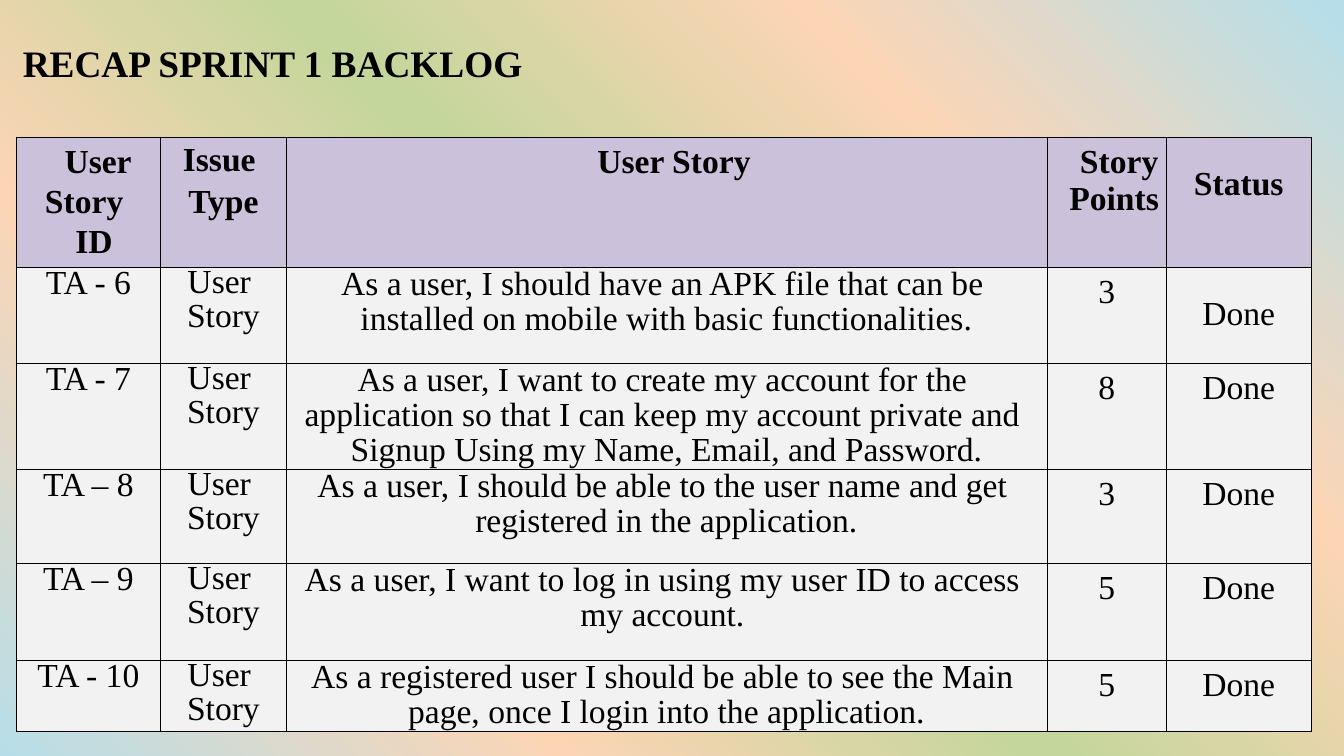
from pptx import Presentation
from pptx.dml.color import RGBColor
from pptx.enum.text import MSO_ANCHOR, PP_ALIGN
from pptx.oxml.ns import qn
from pptx.util import Inches, Pt
from lxml.etree import SubElement

WIDE, HIGH = Inches(20), Inches(11.25)
FONT = "Times New Roman"
BLACK = RGBColor(0x00, 0x00, 0x00)
LILAC = RGBColor(0xCC, 0xC1, 0xDA)
PALE = RGBColor(0xF2, 0xF2, 0xF2)
BLUE = RGBColor(0xB7, 0xDE, 0xE8)
PEACH = RGBColor(0xFC, 0xD5, 0xB5)
GREEN = RGBColor(0xC3, 0xD6, 0x9B)
STOPS = [(1, BLUE), (26, PEACH), (50, GREEN), (73, PEACH), (100, BLUE)]

TITLE_BOX = (1.2, 4.89, 39.4, 6.84)
TABLE_BOX = (1.2, 18.13, 96.35, 78.58)
COLS = [2.15, 1.87, 11.32, 1.78, 2.15]
ROWS = [1.93, 1.43, 1.58, 1.4, 1.44, 1.06]

TALL = Pt(46.8)
LOW = Pt(70.2)
HEADS = [
    [("User", 0.29, TALL), ("Story ", 0, 1.07), ("ID", 0.17, 1.07)],
    [("Issue ", 0, Pt(45)), ("Type", 0, Pt(45))],
    [("User Story", 0.22, TALL)],
    [("Story", 0.37, TALL), ("Points", 0.22, 1.0)],
    [("Status", 0, LOW)],
]
TASKS = [
    ("TA - 6", ["As a user, I should have an APK file that can be ",
                "installed on mobile with basic functionalities."], "3", LOW),
    ("TA - 7", ["As a user, I want to create my account for the ",
                "application so that I can keep my account private and ",
                "Signup Using my Name, Email, and Password."], "8", TALL),
    ("TA – 8", ["As a user, I should be able to the user name and get ",
                "registered in the application."], "3", TALL),
    ("TA – 9", ["As a user, I want to log in using my user ID to access ",
                "my account. "], "5", TALL),
    ("TA - 10", ["As a registered user I should be able to see the Main ",
                 "page, once I login into the application."], "5", TALL),
]


def place(box):
    """Turn percent shares of the slide into lengths."""
    return [int(part * side / 100) for part, side in zip(box, (WIDE, HIGH) * 2)]


def style(para, size, bold):
    """Format every run of a paragraph."""
    for run in para.runs:
        font = run.font
        font.name, font.size, font.bold = FONT, Pt(size), bold
        font.color.rgb = BLACK


def paint(slide):
    """Fill the background with the slanted gradient."""
    fill = slide.background.fill
    fill.gradient()
    fill.gradient_angle = 225
    stops = slide.element.find(".//" + qn("a:gsLst"))
    for stop in list(stops):
        stops.remove(stop)
    for spot, shade in STOPS:
        stop = SubElement(stops, qn("a:gs"), pos=str(spot * 1000))
        SubElement(stop, qn("a:srgbClr"), val=str(shade))


def add_title(slide, box):
    """Write the heading in its box."""
    frame = slide.shapes.add_textbox(*place(box)).text_frame
    frame.word_wrap = True
    frame.text = "RECAP SPRINT 1 BACKLOG"
    style(frame.paragraphs[0], 40, True)


def edge(cell):
    """Rule all four sides of a cell."""
    props = cell._tc.get_or_add_tcPr()
    for side in ("lnL", "lnR", "lnT", "lnB"):
        line = SubElement(props, qn("a:" + side), w=str(Pt(1)))
        fill = SubElement(line, qn("a:solidFill"))
        SubElement(fill, qn("a:srgbClr"), val=str(BLACK))


def fill_cell(cell, lines, shade, bold):
    """Write lines of (text, indent, spacing) in a ruled cell."""
    edge(cell)
    cell.fill.solid()
    cell.fill.fore_color.rgb = shade
    cell.margin_left = cell.margin_right = 0
    cell.margin_top = cell.margin_bottom = 0
    cell.vertical_anchor = MSO_ANCHOR.TOP
    frame = cell.text_frame
    frame.text = "\n".join(text for text, _, _ in lines)
    for para, (_, indent, space) in zip(frame.paragraphs, lines):
        para.alignment = PP_ALIGN.CENTER
        para.line_spacing = space
        para._p.get_or_add_pPr().set("marL", str(Inches(indent)))
        style(para, 36, bold)


def task_cells(code, story, points, drop):
    """Give the lines of each cell in a backlog row."""
    return [
        [(code, 0, Pt(37.2))],
        [(word, 0, Pt(36.2)) for word in ("User ", "Story")],
        [(line, 0, Pt(37.8)) for line in story],
        [(points, 0, TALL)],
        [("Done", 0, drop)],
    ]


def add_backlog(slide, box):
    """Build the backlog table in its box."""
    left, top, width, height = place(box)
    table = slide.shapes.add_table(
        len(ROWS), len(COLS), left, top, width, height).table
    table.first_row = table.horz_banding = False
    for col, share in zip(table.columns, COLS):
        col.width = int(width * share / sum(COLS))
    for row, share in zip(table.rows, ROWS):
        row.height = int(height * share / sum(ROWS))
    grid = [HEADS] + [task_cells(*task) for task in TASKS]
    for i, row in enumerate(grid):
        for j, lines in enumerate(row):
            fill_cell(table.cell(i, j), lines, PALE if i else LILAC, i == 0)


def main():
    """Build and save the deck."""
    deck = Presentation()
    deck.slide_width, deck.slide_height = WIDE, HIGH
    slide = deck.slides.add_slide(deck.slide_layouts[6])
    paint(slide)
    add_title(slide, TITLE_BOX)
    add_backlog(slide, TABLE_BOX)
    deck.save("out.pptx")


if __name__ == "__main__":
    main()
